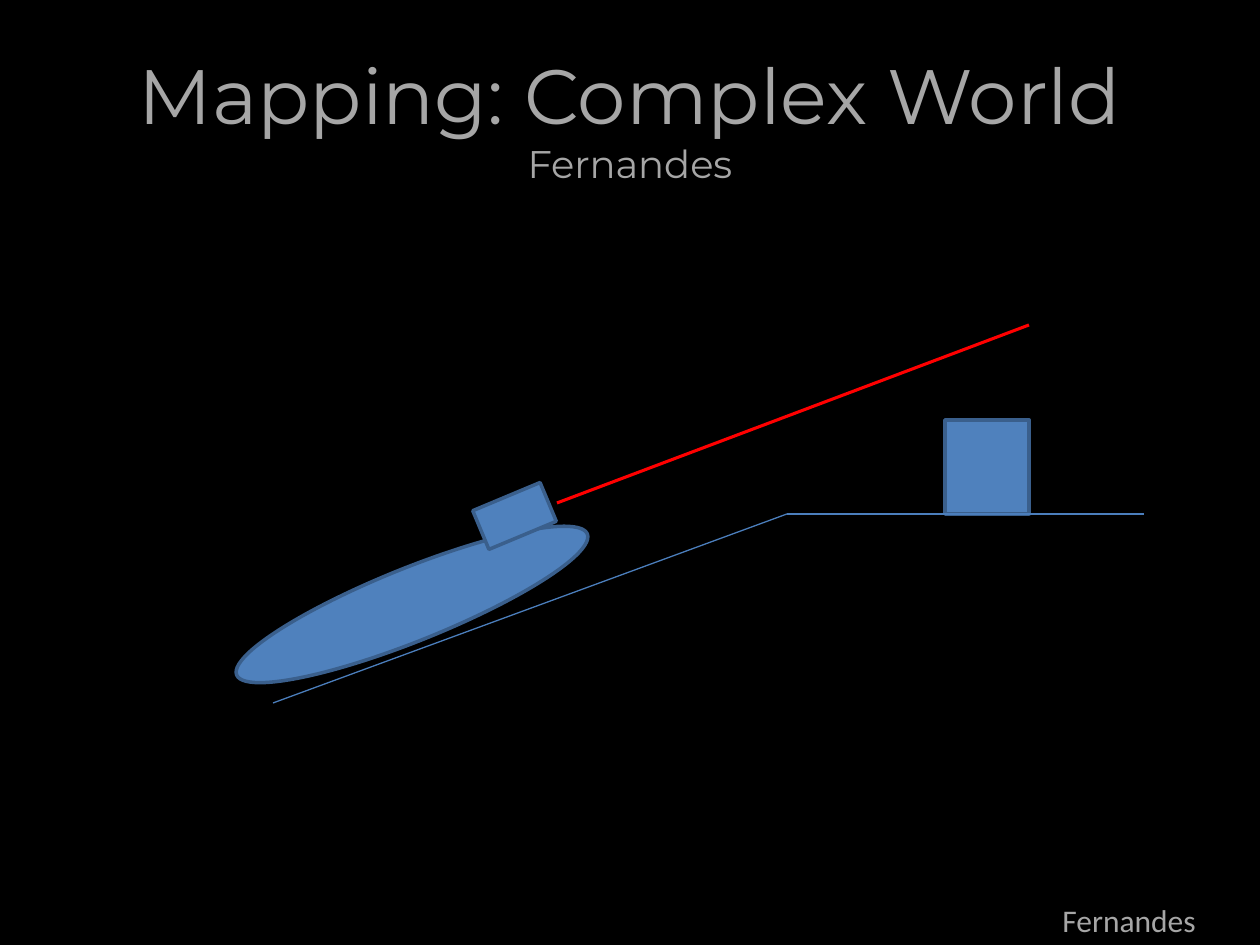
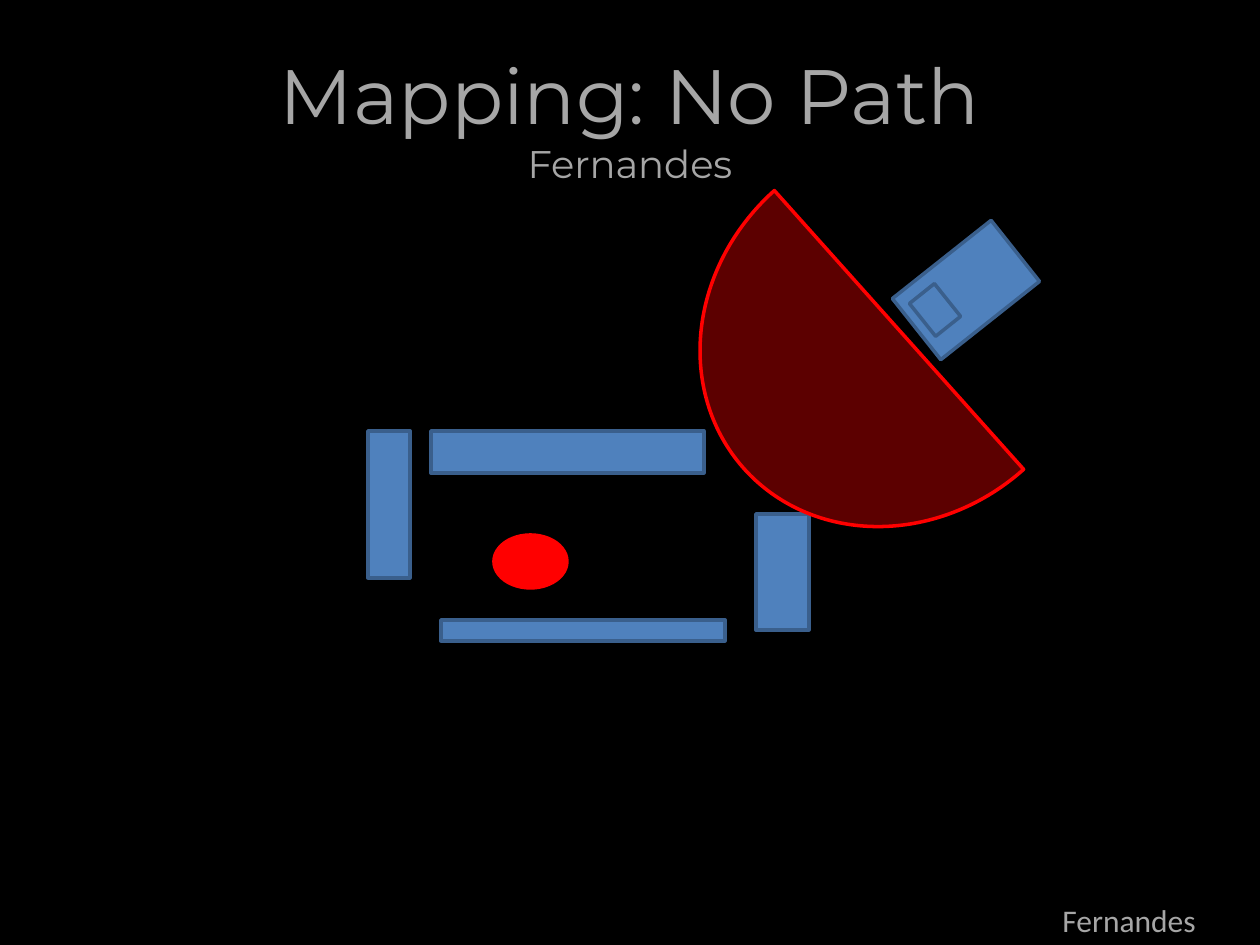
from collections import namedtuple

from lxml.etree import SubElement
from pptx import Presentation
from pptx.dml.color import RGBColor
from pptx.enum.shapes import MSO_CONNECTOR, MSO_SHAPE as Shape
from pptx.enum.text import MSO_ANCHOR as Anchor, PP_ALIGN as Align
from pptx.oxml.ns import qn
from pptx.util import Pt

EMU_PER_PX = 914400 / 126

BLACK = RGBColor(0x00, 0x00, 0x00)
GREY = RGBColor(0xA6, 0xA6, 0xA6)
BLUE = RGBColor(0x4F, 0x81, 0xBD)
BLUE_EDGE = RGBColor(0x3A, 0x5F, 0x8C)
GROUND_BLUE = RGBColor(0x4B, 0x7E, 0xBC)
RED = RGBColor(0xFF, 0x00, 0x00)

AUTHOR = "Fernandes"
Box = namedtuple("Box", "left top width height")

PAGE = Box(0, 0, 1260, 945)
TITLE = Box(63, 38, 1134, 157)
FOOTER = Box(1050, 895, 210, 50)
HILL = Box(220, 320, 924, 384)
ROOM = Box(368, 431, 441, 210)
SCAN = Box(712, 122, 374, 416)


def px(length):
    return round(length * EMU_PER_PX)


def within(box, left, top, width, height):
    return Box(box.left + left, box.top + top, width, height)


def add_text(page, box, size, font_name, align=Align.LEFT, anchor=Anchor.TOP):
    """Add an empty styled text box and return its paragraph."""
    frame = page.shapes.add_textbox(*map(px, box)).text_frame
    frame.word_wrap = True
    frame.vertical_anchor = anchor
    para = frame.paragraphs[0]
    para.alignment = align
    para.font.size = Pt(size)
    para.font.name = font_name
    para.font.color.rgb = GREY
    return para


def add_solid(page, kind, box, rotation=0, fill=BLUE, edge=BLUE_EDGE):
    shape = page.shapes.add_shape(kind, *map(px, box))
    shape.shadow.inherit = False
    shape.rotation = rotation
    shape.fill.solid()
    shape.fill.fore_color.rgb = fill
    shape.line.color.rgb = edge
    shape.line.width = Pt(2)
    return shape


def add_line(page, box, start, end, color, width):
    """Draw a line between two points measured from the box corner."""
    points = [px(origin + offset) for point in (start, end)
              for origin, offset in zip((box.left, box.top), point)]
    line = page.shapes.add_connector(MSO_CONNECTOR.STRAIGHT, *points)
    line.line.color.rgb = color
    line.line.width = Pt(width)
    SubElement(line._element.spPr, qn("a:effectLst"))


def set_opacity(shape, percent):
    color = shape._element.spPr.find(qn("a:solidFill"))[0]
    SubElement(color, qn("a:alpha"), val=str(percent * 1000))


def add_page(deck, topic):
    page = deck.slides.add_slide(deck.slide_layouts[6])
    page.background.fill.solid()
    page.background.fill.fore_color.rgb = BLACK

    title = add_text(page, TITLE, 44, "Montserrat", Align.CENTER, Anchor.MIDDLE)
    title.add_run().text = f"Mapping: {topic}"
    title.add_line_break()
    author = title.add_run()
    author.text = AUTHOR
    author.font.size = Pt(22)

    footer = add_text(page, FOOTER, 18, "Calibri")
    footer.add_run().text = AUTHOR
    return page


def draw_hill(page, box):
    """Draw a robot climbing a ramp, its beam passing over an obstacle."""
    crest = (567, 194)
    add_solid(page, Shape.OVAL, within(box, 3, 248, 378, 73), 338.1)
    add_solid(page, Shape.RECTANGLE, within(box, 725, 100, 84, 94))
    for ground_end in ((53, 383), (924, 194)):
        add_line(page, box, crest, ground_end, GROUND_BLUE, 0.75)
    add_line(page, box, (337, 183), (809, 5), RED, 1.75)
    add_solid(page, Shape.RECTANGLE, within(box, 258, 175, 73, 42), 337.3)


def draw_room(page, box):
    """Draw the goal and the four walls around it."""
    add_solid(page, Shape.OVAL, within(box, 126, 104, 73, 53), fill=RED, edge=RED)
    walls = ((0, 0, 42, 147), (73, 189, 284, 21), (63, 0, 273, 42), (388, 83, 53, 116))
    for wall in walls:
        add_solid(page, Shape.RECTANGLE, within(box, *wall))


def draw_scan(page, box):
    """Draw the robot, its half-disc field of view and its sensor."""
    add_solid(page, Shape.RECTANGLE, within(box, 191, 129, 126, 78), 321.6)
    view = add_solid(page, Shape.PIE, box, 48.2, RED, RED)
    view.adjustments[0] = 0
    view.adjustments[1] = 108  # 180 degrees
    set_opacity(view, 36)
    add_solid(page, Shape.RECTANGLE, within(box, 202, 172, 42, 32), 51.4)


def main():
    deck = Presentation()
    deck.slide_width, deck.slide_height = px(PAGE.width), px(PAGE.height)

    draw_hill(add_page(deck, "Complex World"), HILL)

    no_path = add_page(deck, "No Path")
    draw_room(no_path, ROOM)
    draw_scan(no_path, SCAN)

    deck.save("out.pptx")


if __name__ == "__main__":
    main()
